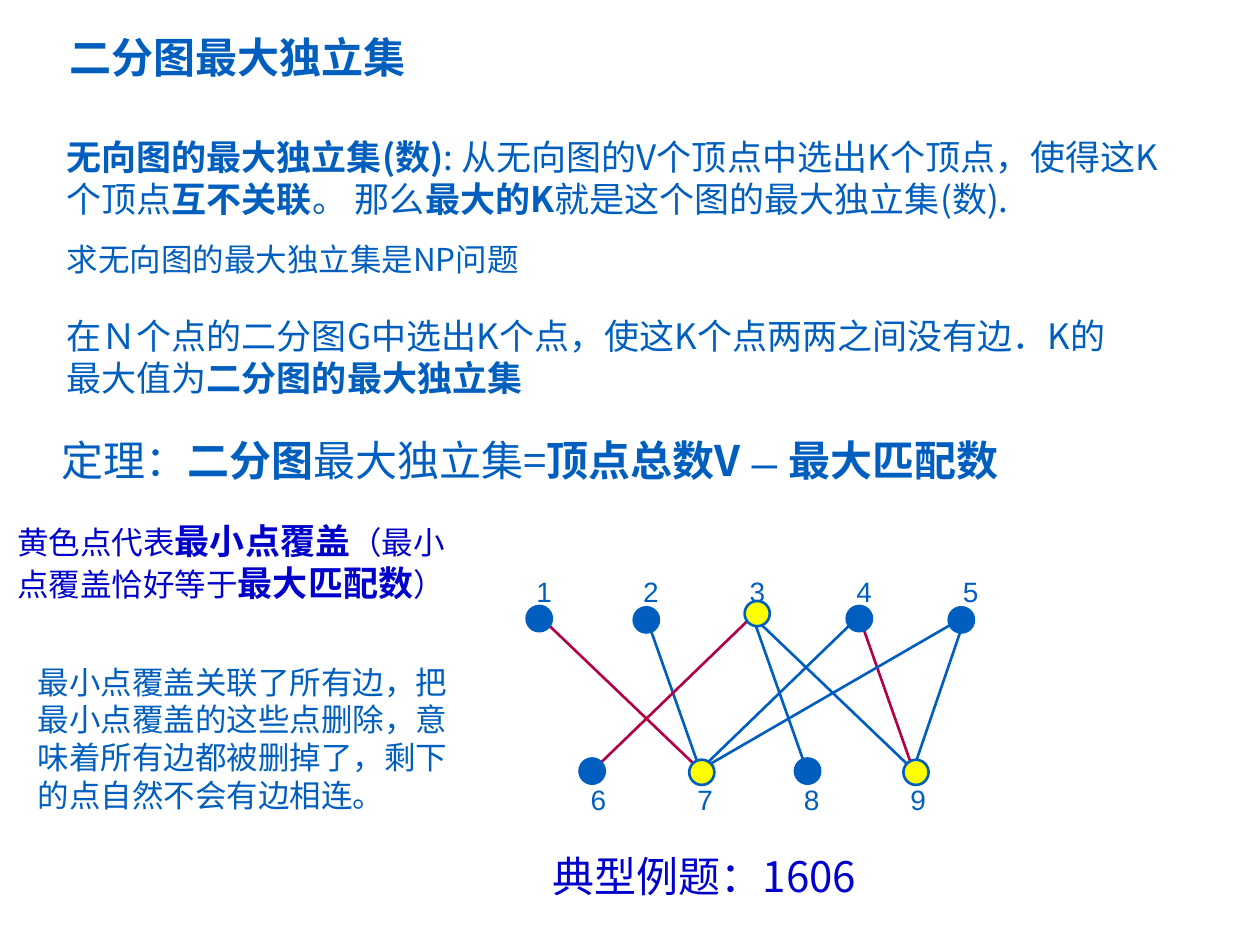
import pptx
import pptx.util
import pptx.dml.color
import pptx.oxml
import pptx.oxml.ns
import pptx.enum.shapes
import pptx.enum.text

CELL = 0.1  # inches; the slide is a grid of 100 columns by 75 rows
BLUE, DARK_BLUE, RED, YELLOW = "005FBE", "0000CC", "B20048", "FFFF00"
SANS, SERIF, LABEL_FONT = "Noto Sans CJK SC", "Times New Roman", "Arial"


def color(hex_code):
    return pptx.dml.color.RGBColor.from_string(hex_code)


def cells(count):
    return pptx.util.Inches(count * CELL)


class SlideBuilder:
    east_asian_font = SANS
    line_width = pptx.util.Pt(1.5)
    dot_size = 2

    def __init__(self, slide):
        self.slide = slide

    def text(self, left, top, width, height, parts, size, font=SANS, hue=BLUE, middle=False):
        """Add one paragraph; each part is (wording, bold) or (wording, bold, own size)."""
        box = self.slide.shapes.add_textbox(*map(cells, (left, top, width, height)))
        frame = box.text_frame
        frame.word_wrap = True
        if middle:
            frame.vertical_anchor = pptx.enum.text.MSO_ANCHOR.MIDDLE
        para = frame.paragraphs[0]
        for wording, bold, *own_size in parts:
            span = para.add_run()
            span.text = wording
            span.font.name = font
            span.font.size = pptx.util.Pt(own_size[0] if own_size else size)
            span.font.bold = bold
            span.font.color.rgb = color(hue)
            east_asian = pptx.oxml.parse_xml(
                f'<a:ea {pptx.oxml.ns.nsdecls("a")} typeface="{self.east_asian_font}"/>')
            span.font._element.find(pptx.oxml.ns.qn("a:latin")).addnext(east_asian)

    def edge(self, start, end, hue):
        line = self.slide.shapes.add_connector(
            pptx.enum.shapes.MSO_CONNECTOR.STRAIGHT, *map(cells, start + end))
        line.line.color.rgb = color(hue)
        line.line.width = self.line_width
        line._element.spPr.append(
            pptx.oxml.parse_xml(f'<a:effectLst {pptx.oxml.ns.nsdecls("a")}/>'))

    def dot(self, center_x, center_y, fill):
        radius = self.dot_size / 2
        dot = self.slide.shapes.add_shape(
            pptx.enum.shapes.MSO_SHAPE.OVAL, cells(center_x - radius), cells(center_y - radius),
            cells(self.dot_size), cells(self.dot_size))
        dot.shadow.inherit = False
        dot.fill.solid()
        dot.fill.fore_color.rgb = color(fill)
        dot.line.color.rgb = color(BLUE)
        dot.line.width = self.line_width


def add_bipartite_graph(builder):
    step = 8.46
    vertices = {n: (42.8 + step * (n - 1), 48.9) for n in range(1, 6)}
    vertices.update({n: (47.1 + step * (n - 6), 61.1) for n in range(6, 10)})
    matching = {(1, 7), (3, 6), (4, 9)}
    edges = [(1, 7), (2, 7), (3, 8), (4, 9), (3, 9), (5, 7), (5, 9), (4, 7), (3, 6)]
    cover = {3, 7, 9}
    dot_centers = {1: (42.8, 49.1), 2: (51.3, 49.2), 3: (60.1, 48.7), 4: (68.2, 49.1),
                   5: (76.3, 49.2), 6: (47, 61.2), 7: (55.7, 61.3), 8: (64.1, 61.2),
                   9: (72.7, 61.3)}

    for upper, lower in edges:
        hue = RED if (upper, lower) in matching else BLUE
        builder.edge(vertices[upper], vertices[lower], hue)
    for number, (x, _) in vertices.items():
        top = 45.4 if number <= 5 else 61.9
        builder.text(x - 1.2, top, 2.4, 3, [(str(number), False)], 16, LABEL_FONT, middle=True)
    for number, center in dot_centers.items():
        builder.dot(*center, YELLOW if number in cover else BLUE)


def main():
    deck = pptx.Presentation()
    deck.slide_width, deck.slide_height = cells(100), cells(75)
    builder = SlideBuilder(deck.slides.add_slide(deck.slide_layouts[6]))

    builder.text(4.5, 2, 47.8, 5, [("二分图最大独立集", True)], 24, SERIF)
    builder.text(4.3, 10.3, 89.8, 7.7, [
        ("无向图的最大独立集(数)", True),
        (": 从无向图的V个顶点中选出K个顶点，使得这K个顶点", False),
        ("互不关联", True), ("。 那么", False), ("最大的K", True),
        ("就是这个图的最大独立集(数).", False)], 20)
    builder.text(4.3, 18.6, 82.6, 4, [("求无向图的最大独立集是NP问题", False)], 18)
    builder.text(4.3, 24.5, 85, 7.7, [
        ("在Ｎ个点的二分图G中选出K个点，使这K个点两两之间没有边．K的最大值为", False),
        ("二分图的最大独立集", True)], 20)
    builder.text(3.9, 34, 93, 5, [
        ("定理：", False), ("二分图", True), ("最大独立集=", False),
        ("顶点总数V ", True), ("—", True, 18), (" 最大匹配数", True)], 24)

    add_bipartite_graph(builder)

    builder.text(0.4, 40.7, 37.8, 7.7, [
        ("黄色点代表", False), ("最小点覆盖", True, 20), ("（最小点覆盖恰好等于", False),
        ("最大匹配数", True, 20), ("）", False)], 18, SERIF, DARK_BLUE)
    builder.text(2, 52.1, 35.8, 13, [
        ("最小点覆盖关联了所有边，把最小点覆盖的这些点删除，"
         "意味着所有边都被删掉了，剩下的点自然不会有边相连。", False)], 18, SERIF)
    builder.text(42.9, 67, 37.4, 5, [("典型例题：1606", False)], 24, hue=DARK_BLUE)

    deck.save("out.pptx")


if __name__ == "__main__":
    main()
